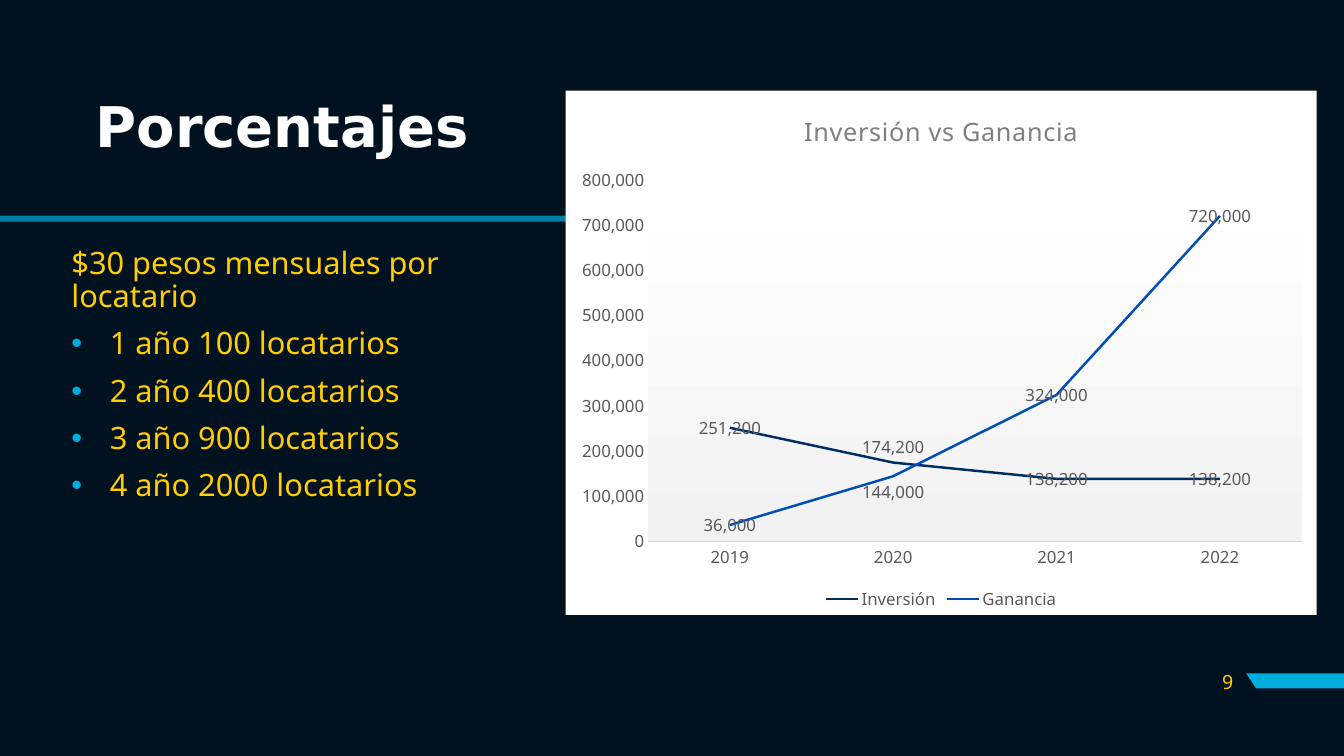
from lxml import etree
from pptx import Presentation
from pptx.chart.data import CategoryChartData
from pptx.dml.color import RGBColor
from pptx.enum.chart import XL_CHART_TYPE as ChartType
from pptx.enum.chart import XL_LABEL_POSITION as LabelPosition
from pptx.enum.chart import XL_LEGEND_POSITION as LegendPosition
from pptx.enum.chart import XL_MARKER_STYLE as MarkerStyle
from pptx.enum.chart import XL_TICK_MARK as TickMark
from pptx.enum.text import MSO_ANCHOR as Anchor
from pptx.enum.text import PP_ALIGN as Align
from pptx.oxml import parse_xml
from pptx.oxml.ns import nsdecls, qn
from pptx.util import Inches, Pt

WIDTH, HEIGHT = Inches(13.33), Inches(7.5)
BODY_FONT, TITLE_FONT = "Noto Sans", "DejaVu Sans"
NUMBER_FORMAT = "#,##0"
COLORS = {
    "night": "00111F", "cyan": "00AEDE", "yellow": "FFCD00", "white": "FFFFFF",
    "label": "595959", "heading": "7F7F7F", "axis": "D9D9D9", "haze": "F2F2F2",
    "investment": "002E62", "profit": "004CB9",
}
YEARS = ["2019", "2020", "2021", "2022"]
SERIES = [
    ("Inversión", [251200, 174200, 138200, 138200], "investment", LabelPosition.ABOVE),
    ("Ganancia", [36000, 144000, 324000, 720000], "profit", LabelPosition.BELOW),
]
TENANTS = [100, 400, 900, 2000]


def color(name):
    return RGBColor.from_string(COLORS[name])


def across(percent):
    return round(WIDTH * percent / 100)


def down(percent):
    return round(HEIGHT * percent / 100)


def place(left, top, width, height):
    return across(left), down(top), across(width), down(height)


def style_font(font, size, color_name, name=BODY_FONT, bold=False):
    font.size, font.name, font.bold = Pt(size), name, bold
    font.color.rgb = color(color_name)


def add_band(slide, corners, opacity=100):
    points = [(across(x), down(y)) for x, y in corners]
    builder = slide.shapes.build_freeform(*points[0])
    builder.add_line_segments(points[1:], close=True)
    shape = builder.convert_to_shape()
    shape.shadow.inherit = False
    shape.fill.solid()
    shape.fill.fore_color.rgb = color("cyan")
    shape.line.fill.background()
    if opacity < 100:
        fill_color = shape.fill._xPr.find(".//" + qn("a:srgbClr"))
        etree.SubElement(fill_color, qn("a:alpha"), val=str(opacity * 1000))


def add_text_frame(slide, box, anchor):
    frame = slide.shapes.add_textbox(*place(*box)).text_frame
    frame.word_wrap = True
    frame.vertical_anchor = anchor
    return frame


def add_run(paragraph, text, size, color_name, **font_options):
    run = paragraph.add_run()
    run.text = text
    style_font(run.font, size, color_name, **font_options)


def add_bullet(paragraph):
    properties = paragraph._p.get_or_add_pPr()
    indent = Inches(0.38)
    properties.set("marL", str(indent))
    properties.set("indent", str(-indent))
    bullet_color = etree.SubElement(properties, qn("a:buClr"))
    etree.SubElement(bullet_color, qn("a:srgbClr"), val=COLORS["cyan"])
    etree.SubElement(properties, qn("a:buFont"), typeface="Arial")
    etree.SubElement(properties, qn("a:buChar"), char="•")


def add_title(slide):
    frame = add_text_frame(slide, (6.38, 7.73, 41.48, 18.67), Anchor.MIDDLE)
    paragraph = frame.paragraphs[0]
    paragraph.line_spacing = 0.9
    add_run(paragraph, "Porcentajes", 40, "white", name=TITLE_FONT, bold=True)


def add_page_number(slide):
    frame = add_text_frame(slide, (88, 87.47, 4.5, 5.33), Anchor.MIDDLE)
    paragraph = frame.paragraphs[0]
    paragraph.alignment = Align.RIGHT
    add_run(paragraph, "9", 14, "yellow")


def add_body(slide):
    frame = add_text_frame(slide, (4.58, 32.13, 35.63, 57.73), Anchor.TOP)
    paragraph = frame.paragraphs[0]
    paragraph.line_spacing = 0.9
    add_run(paragraph, "$30 pesos mensuales por locatario", 22, "yellow")
    for year, count in enumerate(TENANTS, start=1):
        paragraph = frame.add_paragraph()
        add_bullet(paragraph)
        paragraph.line_spacing = 0.9
        paragraph.space_before = Pt(10)
        add_run(paragraph, f"{year} año {count} locatarios", 22, "yellow")


def style_axis(axis):
    axis.has_major_gridlines = False
    axis.major_tick_mark = axis.minor_tick_mark = TickMark.NONE
    style_font(axis.tick_labels.font, 12, "label")


def style_series(series, color_name, second_label_position):
    series.smooth = False
    series.marker.style = MarkerStyle.NONE
    series.format.line.width = Pt(1.75)
    series.format.line.color.rgb = color(color_name)
    labels = series.data_labels
    labels.show_value = True
    labels.position = LabelPosition.CENTER
    labels.number_format = NUMBER_FORMAT
    labels.number_format_is_linked = False
    style_font(labels.font, 12, "label")
    second_label = series.points[1].data_label
    style_font(second_label.font, 12, "label")
    second_label.position = second_label_position


def style_plot_area(chart):
    area = chart._chartSpace.find(".//" + qn("c:plotArea"))
    for layout in area.findall(qn("c:layout")):
        area.remove(layout)
    shares = {"x": 0.11, "y": 0.17, "w": 0.87, "h": 0.69}
    sizes = "".join(f'<c:{key} val="{share}"/>' for key, share in shares.items())
    area.insert(0, parse_xml(
        f'<c:layout {nsdecls("c")}><c:manualLayout><c:layoutTarget val="inner"/>'
        f'<c:xMode val="edge"/><c:yMode val="edge"/>{sizes}</c:manualLayout></c:layout>'))
    area.append(parse_xml(
        f'<c:spPr {nsdecls("c", "a")}><a:gradFill><a:gsLst>'
        f'<a:gs pos="0"><a:srgbClr val="{COLORS["white"]}"/></a:gs>'
        f'<a:gs pos="100000"><a:srgbClr val="{COLORS["haze"]}"/></a:gs>'
        '</a:gsLst><a:lin ang="5400000" scaled="0"/></a:gradFill>'
        '<a:ln><a:noFill/></a:ln></c:spPr>'))


def fill_chart_background(chart):
    background = parse_xml(
        f'<c:spPr {nsdecls("c", "a")}><a:solidFill><a:srgbClr val="{COLORS["white"]}"/>'
        '</a:solidFill><a:ln><a:noFill/></a:ln></c:spPr>')
    chart._chartSpace.find(qn("c:chart")).addnext(background)


def add_line_chart(slide):
    data = CategoryChartData(number_format=NUMBER_FORMAT)
    data.categories = YEARS
    for name, values, _, _ in SERIES:
        data.add_series(name, values)
    box = place(42.08, 12, 55.89, 69.33)
    chart = slide.shapes.add_chart(ChartType.LINE, *box, data).chart
    style_font(chart.font, 12, "label")
    chart.has_title = True
    heading = chart.chart_title.text_frame.paragraphs[0]
    add_run(heading, "Inversión vs Ganancia", 18, "heading")
    heading.runs[0].font._element.set("spc", "50")
    chart.chart_title.include_in_layout = False
    chart.has_legend = True
    chart.legend.position = LegendPosition.BOTTOM
    chart.legend.include_in_layout = False
    style_font(chart.legend.font, 12, "label")
    for axis in (chart.category_axis, chart.value_axis):
        style_axis(axis)
    chart.category_axis.format.line.color.rgb = color("axis")
    chart.category_axis.format.line.width = Pt(0.75)
    value_axis = chart.value_axis
    value_axis.format.line.fill.background()
    value_axis.minimum_scale, value_axis.maximum_scale = 0, 800000
    value_axis.major_unit = 100000
    value_axis.tick_labels.number_format = NUMBER_FORMAT
    value_axis.tick_labels.number_format_is_linked = False
    plot = chart.plots[0]
    plot.vary_by_categories = False
    for series, (_, _, color_name, position) in zip(plot.series, SERIES):
        style_series(series, color_name, position)
    style_plot_area(chart)
    fill_chart_background(chart)


def main():
    presentation = Presentation()
    presentation.slide_width, presentation.slide_height = WIDTH, HEIGHT
    slide = presentation.slides.add_slide(presentation.slide_layouts[6])
    slide.background.fill.solid()
    slide.background.fill.fore_color.rgb = color("night")
    add_band(slide, [(100, 89.07), (100, 91.07), (93.47, 91.07), (92.72, 89.07)])
    add_band(slide, [(0, 28.53), (0, 29.33), (42.84, 29.33), (43.21, 28.53)], opacity=70)
    add_title(slide)
    add_page_number(slide)
    add_line_chart(slide)
    add_body(slide)
    presentation.save("out.pptx")


if __name__ == "__main__":
    main()
